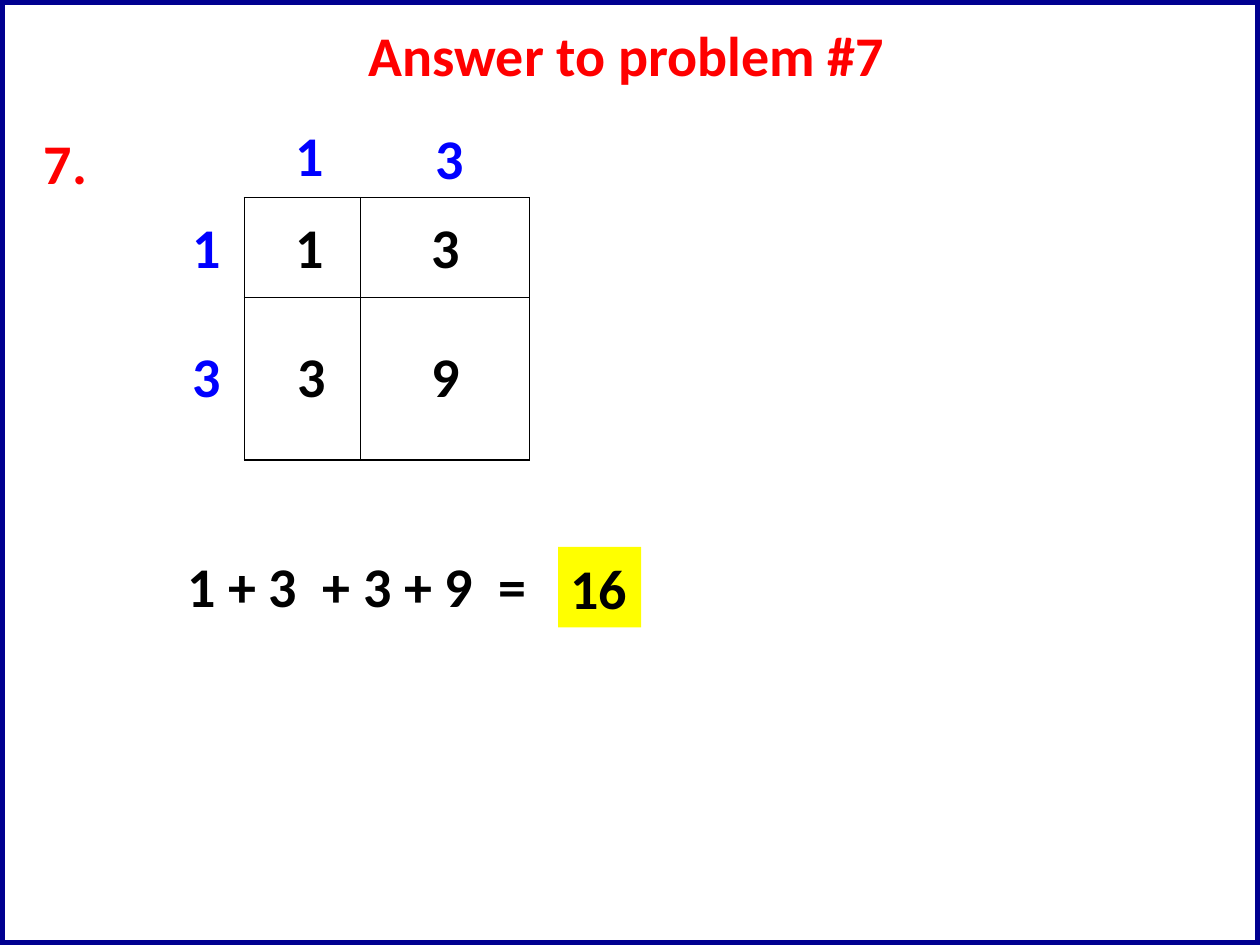
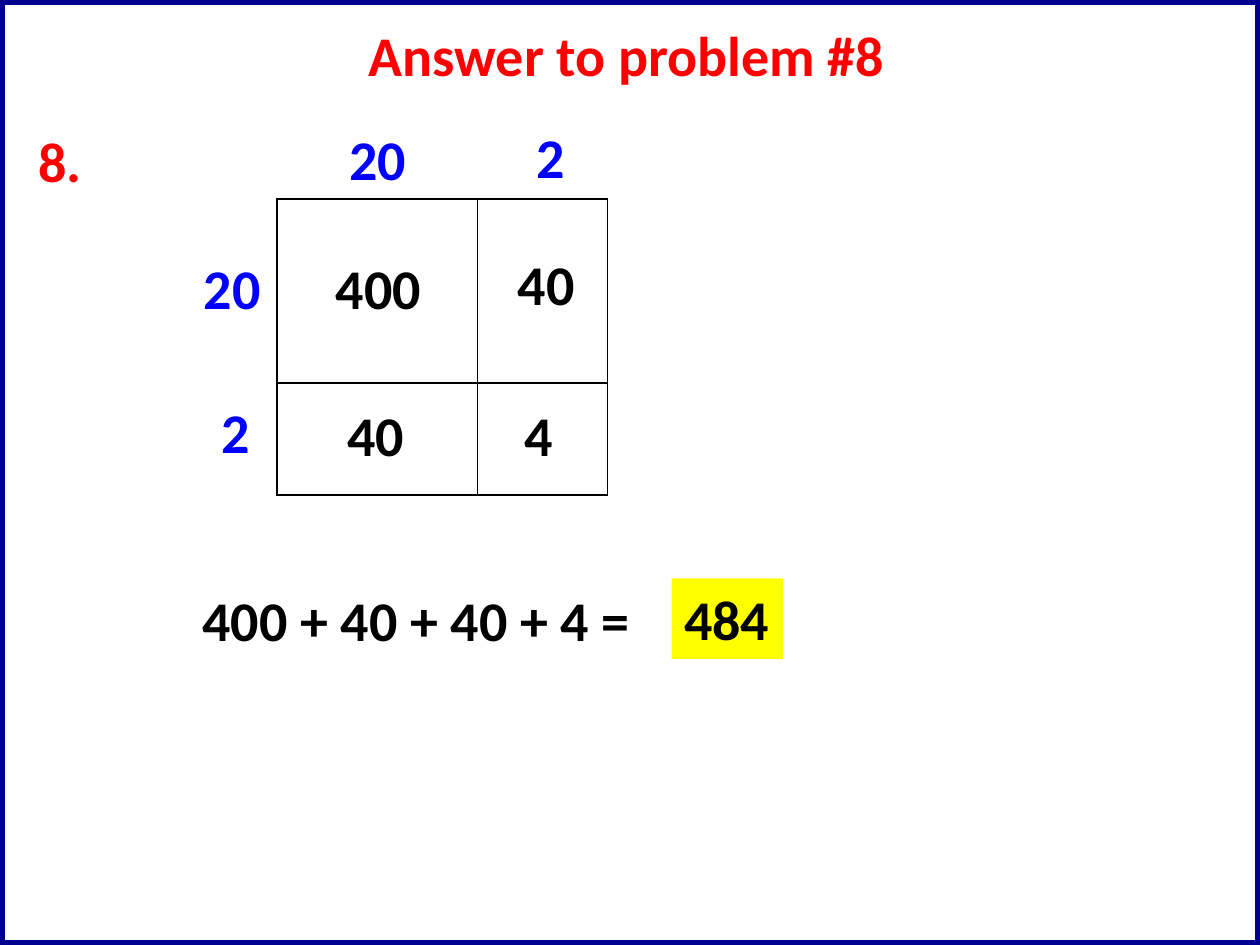
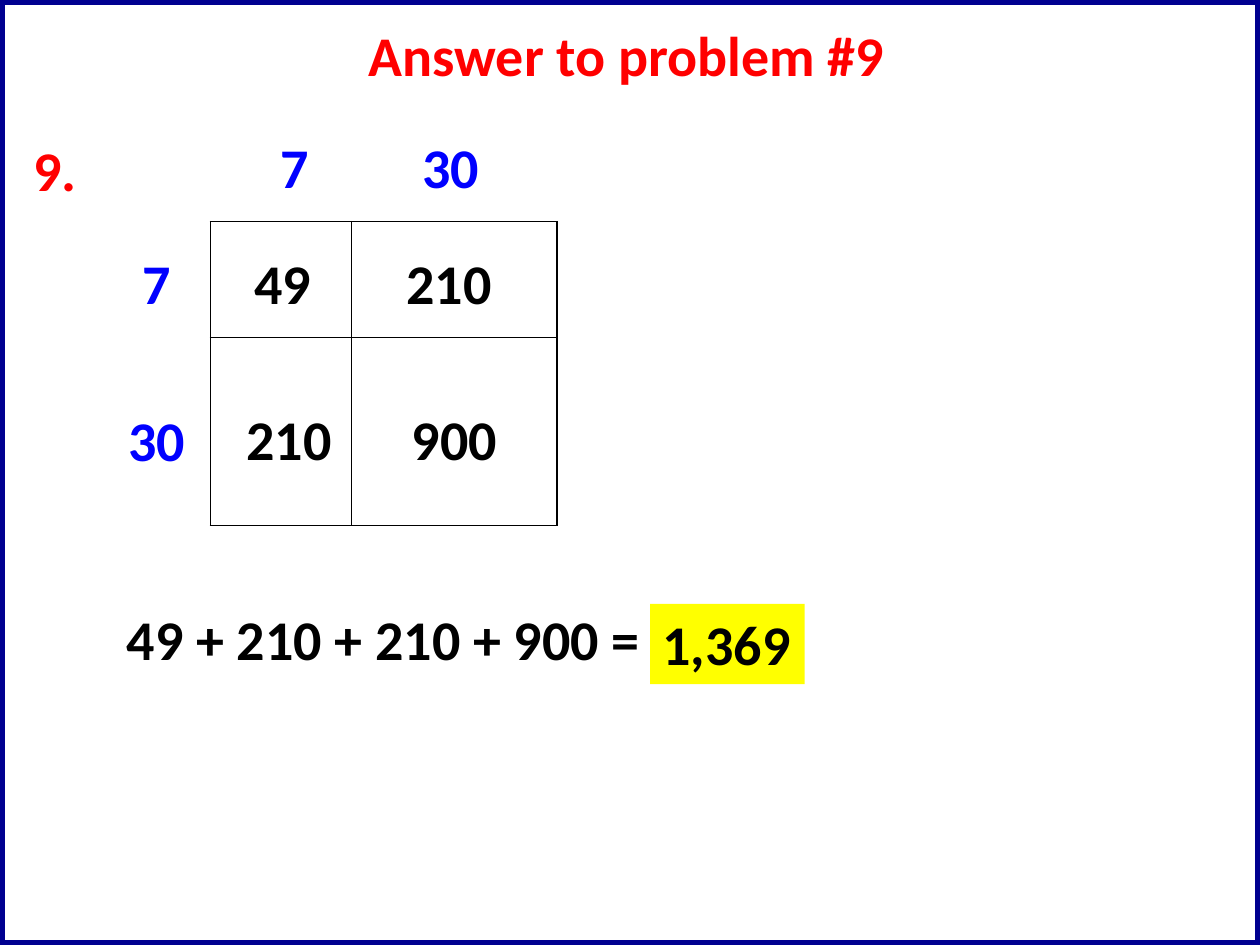
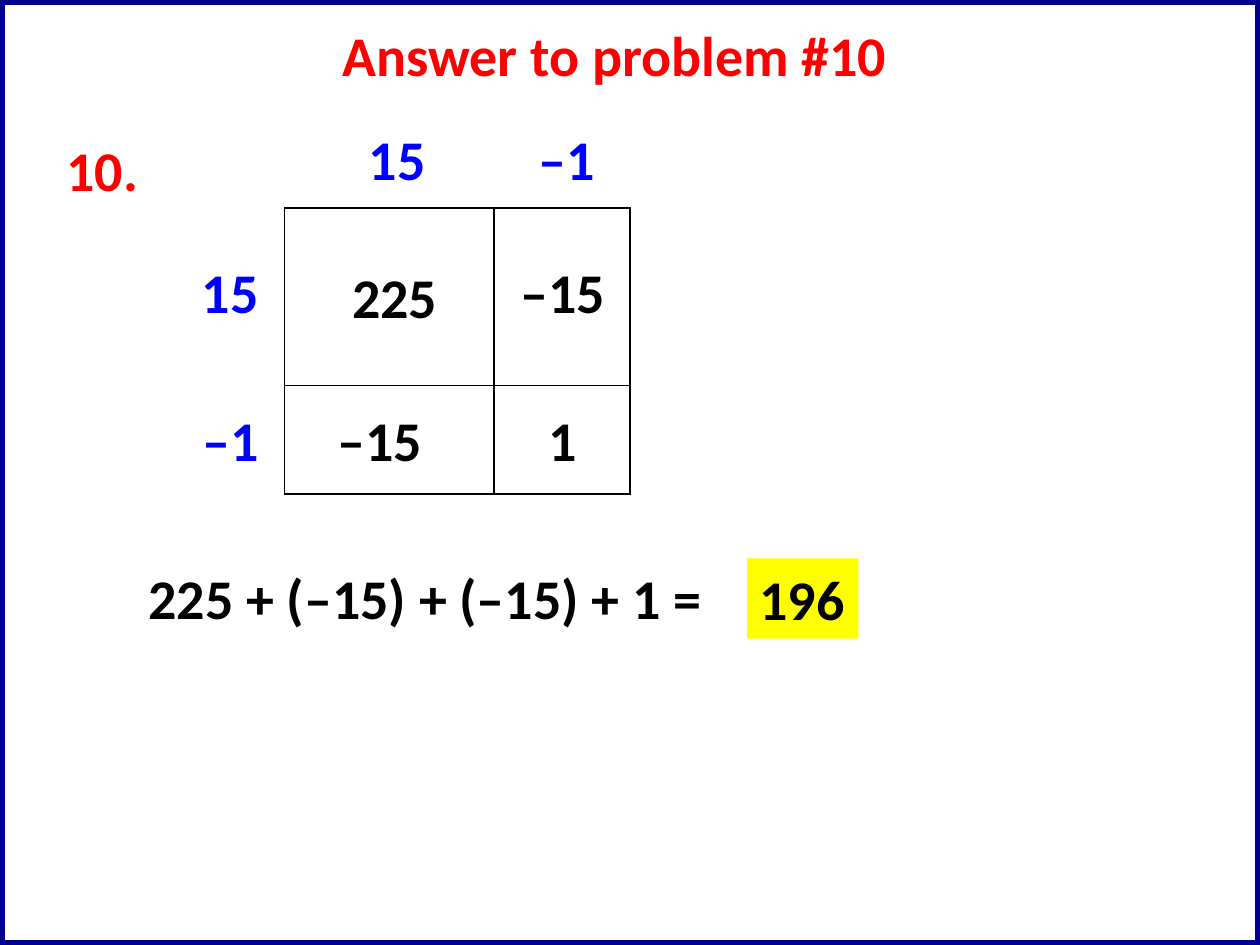
from dataclasses import dataclass

from lxml import etree
from pptx import Presentation
from pptx.dml.color import RGBColor
from pptx.enum import shapes, text
from pptx.oxml import ns
from pptx.util import Pt

RED = RGBColor(0xFF, 0x00, 0x00)
BLUE = RGBColor(0x00, 0x00, 0xFF)
BLACK = RGBColor(0x00, 0x00, 0x00)
WHITE = RGBColor(0xFF, 0xFF, 0xFF)
YELLOW = RGBColor(0xFF, 0xFF, 0x00)
NAVY = RGBColor(0x00, 0x00, 0x90)

FONT = "Calibri"
FONT_SIZE = 32
LINE_HEIGHT = 46
SLIDE_WIDTH, SLIDE_HEIGHT = 720, 540


@dataclass
class Problem:
    """One area-model answer; label offsets count from the grid's corner."""
    number: int
    number_at: tuple
    title_width: float
    grid_at: tuple
    columns: tuple
    rows: tuple
    factors: tuple
    products: tuple
    addition: str
    addition_box: tuple
    total: str
    total_at: tuple


PROBLEMS = (
    Problem(
        7, (18, 70), 313, (139.7, 113), (66.2, 96.8), (57, 93),
        (("1", 22, -47.5), ("3", 102, -46), ("1", -37, 5), ("3", -37, 78.5)),
        (("1", 22, 5), ("3", 100, 5), ("3", 23, 78.5), ("9", 100, 78.5)),
        "1 + 3  + 3 + 9  =", (100, 311.8, 210), "16", (319, 312.5)),
    Problem(
        8, (15, 68.5), 313, (158.4, 113.8), (114.5, 74.2), (105, 64),
        (("20", 34, -46), ("2", 141, -47.5), ("20", -49, 27.5), ("2", -39, 110)),
        (("400", 26.5, 27.5), ("40", 130.5, 25), ("40", 33, 111.5), ("4", 134.5, 111.5)),
        "400 + 40 + 40 + 4 =", (108.7, 331.2, 261), "484", (383.8, 330.5)),
    Problem(
        9, (12, 74), 313, (120.2, 126.7), (80.6, 117.4), (66.2, 107.3),
        (("7", 33, -54.5), ("30", 114, -54.5), ("7", -46, 11.5), ("30", -54, 101.5)),
        (("49", 18, 12), ("210", 105, 11.5), ("210", 13.5, 101), ("900", 108, 101)),
        "49 + 210 + 210 + 900 =", (65.5, 342, 310), "1,369", (371.5, 345)),
    Problem(
        10, (31, 74), 343, (162.7, 118.8), (119.5, 77.8), (101.5, 62),
        (("15", 41, -51), ("–1", 138, -51), ("15", -54.5, 25), ("–1", -54, 109.5)),
        (("225", 31.5, 27.5), ("–15", 127.5, 25), ("–15", 23, 109.5), ("1", 143.5, 109.5)),
        "225 + (–15) + (–15) + 1 =", (77.8, 318.2, 333), "196", (427, 319)),
)


def number_width(words):
    """Return the box width that fits a number and its side insets."""
    return 15 + sum(8.5 if character in ",." else 16.2 for character in words)


def add_label(slide, words, left, top, color, width=None):
    """Place one line of bold text that does not wrap."""
    shape = slide.shapes.add_textbox(
        Pt(left), Pt(top), Pt(width or number_width(words)), Pt(LINE_HEIGHT))
    frame = shape.text_frame
    frame.word_wrap = False
    frame.auto_size = text.MSO_AUTO_SIZE.SHAPE_TO_FIT_TEXT
    run = frame.paragraphs[0].add_run()
    run.text = words
    run.font.name = FONT
    run.font.size = Pt(FONT_SIZE)
    run.font.bold = True
    run.font.color.rgb = color
    return shape


def add_cell_borders(cell):
    """Draw a thin black line on all four sides of a cell."""
    properties = cell._tc.get_or_add_tcPr()
    for side in ("a:lnL", "a:lnR", "a:lnT", "a:lnB"):
        line = etree.SubElement(properties, ns.qn(side), w=str(Pt(1)))
        fill = etree.SubElement(line, ns.qn("a:solidFill"))
        etree.SubElement(fill, ns.qn("a:srgbClr"), val=str(BLACK))


def add_grid(slide, left, top, columns, rows):
    """Draw the unfilled area-model grid."""
    table = slide.shapes.add_table(
        len(rows), len(columns), Pt(left), Pt(top), Pt(sum(columns)), Pt(sum(rows))).table
    table.first_row = False
    table.horz_banding = False
    for column, width in zip(table.columns, columns):
        column.width = Pt(width)
    for row, height in zip(table.rows, rows):
        row.height = Pt(height)
    for cell in table.iter_cells():
        add_cell_borders(cell)
        cell.fill.background()


def add_area_model(slide, left, top, problem):
    """Draw the grid with factors around it and products inside it."""
    add_grid(slide, left, top, problem.columns, problem.rows)
    for labels, color in ((problem.factors, BLUE), (problem.products, BLACK)):
        for words, across, down in labels:
            add_label(slide, words, left + across, top + down, color)


def add_sum(slide, problem):
    """Write the addition and its highlighted total."""
    left, top, width = problem.addition_box
    add_label(slide, problem.addition, left, top, BLACK, width)
    total = add_label(slide, problem.total, *problem.total_at, BLACK)
    total.fill.solid()
    total.fill.fore_color.rgb = YELLOW


def add_frame_to_layout(slide, layout):
    """Put the navy page frame on the layout that all slides share."""
    frame = slide.shapes.add_shape(
        shapes.MSO_SHAPE.RECTANGLE, 0, 0, Pt(SLIDE_WIDTH), Pt(SLIDE_HEIGHT))
    frame.shadow.inherit = False
    frame.fill.solid()
    frame.fill.fore_color.rgb = WHITE
    frame.line.color.rgb = NAVY
    frame.line.width = Pt(6)
    layout.shapes.element.append(frame.element)


def build_answer_slide(slide, problem):
    """Lay out the title, problem number, area model and sum."""
    title_left = (SLIDE_WIDTH - problem.title_width) / 2
    add_label(slide, f"Answer to problem #{problem.number}", title_left, 8, RED,
              problem.title_width)
    add_label(slide, f"{problem.number}.", *problem.number_at, RED)
    add_area_model(slide, *problem.grid_at, problem)
    add_sum(slide, problem)


def main():
    """Build the four answer slides and save them."""
    presentation = Presentation()
    presentation.slide_width = Pt(SLIDE_WIDTH)
    presentation.slide_height = Pt(SLIDE_HEIGHT)
    layout = presentation.slide_layouts[6]
    for index, problem in enumerate(PROBLEMS):
        slide = presentation.slides.add_slide(layout)
        if index == 0:
            add_frame_to_layout(slide, layout)
        build_answer_slide(slide, problem)
    presentation.save("out.pptx")


if __name__ == "__main__":
    main()
